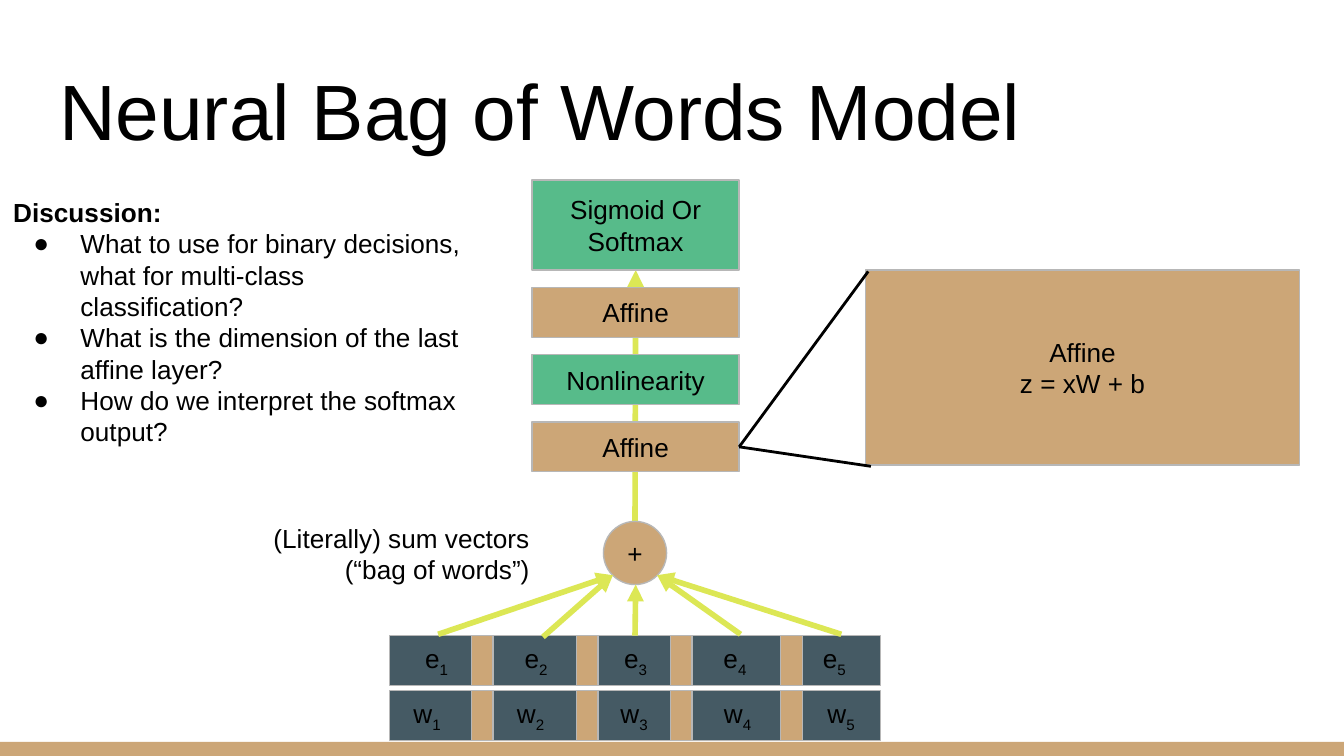
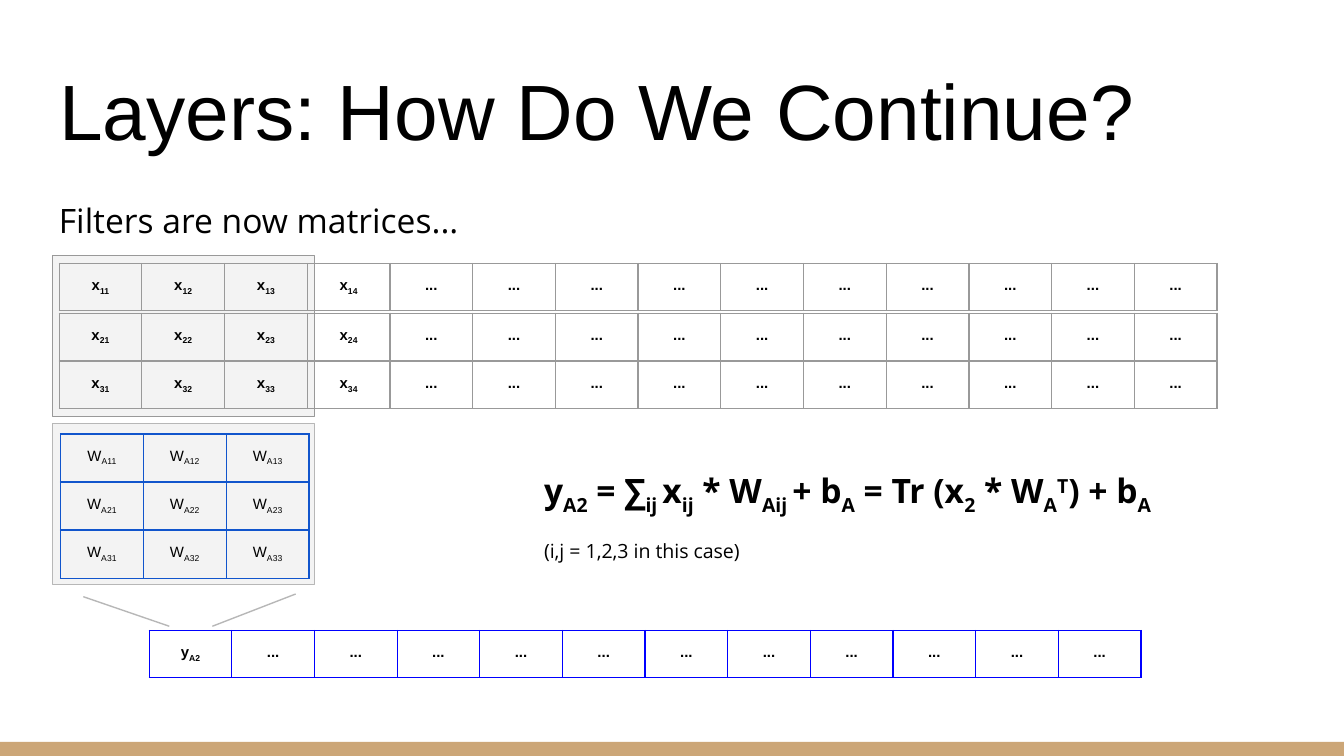
"""Build two slides on a neural bag of words model and its matrix filters."""
from lxml import etree
from pptx import Presentation, util as u
from pptx.dml.color import RGBColor
from pptx.enum import shapes, text
from pptx.oxml import ns

hue = RGBColor.from_string
TAN, GREEN, SLATE, LIME = "CCA677", "57BB8A", "455A64", "DCE755"
BLACK, GREY, PALE, STEEL = "000000", "B7B7B7", "F3F3F3", "999999"
RECT, OVAL = shapes.MSO_SHAPE.RECTANGLE, shapes.MSO_SHAPE.OVAL
LEFT, MID, RIGHT = text.PP_ALIGN.LEFT, text.PP_ALIGN.CENTER, text.PP_ALIGN.RIGHT
TOP, HALF, LOW = text.MSO_ANCHOR.TOP, text.MSO_ANCHOR.MIDDLE, text.MSO_ANCHOR.BOTTOM


def write(frame, words, size=14, font="Arial", bold=False, align=MID, anchor=HALF):
    """Fill a frame; | parts the runs, _ lowers a run and ^ raises it."""
    frame.text = words
    frame.word_wrap, frame.vertical_anchor = True, anchor
    frame.margin_left = frame.margin_right = u.Inches(0.1)
    frame.margin_top = frame.margin_bottom = u.Inches(0.1)
    for para in frame.paragraphs:
        parts = para.text.split("|")
        para.clear()
        para.alignment = align
        for part in parts:
            run = para.add_run()
            run.text = part.lstrip("_^")
            run.font.size, run.font.name, run.font.bold = u.Pt(size), font, bold
            run.font.color.rgb = hue(BLACK)
            if part[0] in "_^":
                base = "-25000" if part[0] == "_" else "30000"
                run.font._element.set("baseline", base)


def box(page, at, fill, edge=GREY, kind=RECT):
    """Add a filled shape with a thin edge."""
    shape = page.shapes.add_shape(kind, *map(u.Inches, at))
    shape.shadow.inherit = False
    shape.fill.solid()
    shape.fill.fore_color.rgb = hue(fill)
    shape.line.color.rgb = hue(edge)
    shape.line.width = u.Pt(0.75)
    return shape


prs = Presentation()
prs.slide_width, prs.slide_height = u.Inches(10), u.Inches(10) * 9 // 16
plan = prs.slide_layouts[5]
pages = []
for name in ["Neural Bag of Words Model", "Layers: How Do We Continue?"]:
    page = prs.slides.add_slide(plan)
    title = page.shapes.title
    title.left, title.top = u.Inches(0.34), u.Inches(0.35)
    title.width, title.height = u.Inches(9.32), u.Inches(0.91)
    write(title.text_frame, name, 42, align=LEFT, anchor=LOW)
    title.text_frame.auto_size = text.MSO_AUTO_SIZE.NONE
    pages.append(page)
model, layers = pages

band = box(model, (0, 5.52, 10, 0.11), TAN)
band.line.fill.background()
plan.shapes.element.append(band.element)

nodes = []
for words, at, fill, kind in [
    ("Sigmoid Or Softmax", (3.96, 1.34, 1.54, 0.67), GREEN, RECT),
    ("Affine", (3.96, 2.14, 1.54, 0.37), TAN, RECT),
    ("Nonlinearity", (3.96, 2.64, 1.54, 0.37), GREEN, RECT),
    ("Affine", (3.96, 3.14, 1.54, 0.37), TAN, RECT),
    ("+", (4.49, 3.88, 0.47, 0.47), TAN, OVAL),
    ("Affine\nz = xW + b", (6.44, 2.01, 3.23, 1.45), TAN, RECT),
]:
    node = box(model, at, fill, kind=kind)
    write(node.text_frame, words)
    nodes.append(node)
goal, affine, plus = nodes[0], nodes[3], nodes[4]

for sign, top, start, step in [("w", 5.14, 0.18, 0.77), ("e", 4.73, 0.25, 0.74)]:
    bar = box(model, (2.9, top, 3.65, 0.37), SLATE)
    write(bar.text_frame, "|".join(f"\t{sign}|_{i}" for i in range(1, 6)), align=LEFT)
    props = bar.text_frame.paragraphs[0]._p.get_or_add_pPr()
    tabs = etree.SubElement(props, ns.qn("a:tabLst"))
    for i in range(5):
        spot = u.Inches(start + i * step)
        etree.SubElement(tabs, ns.qn("a:tab"), pos=str(spot), algn="ctr")
    for left in [3.51, 4.29, 4.99, 5.81]:
        box(model, (left, top, 0.16, 0.37), TAN)

notes = []
for page, at, words, style in [
    (model, (1.36, 3.9, 2.68, 0.44), "(Literally) sum vectors\n(“bag of words”)",
     dict(align=RIGHT)),
    (model, (0, 1.36, 3.59, 0.67),
     "Discussion:\n"
     "What to use for binary decisions, what for multi-class classification?\n"
     "What is the dimension of the last affine layer?\n"
     "How do we interpret the softmax output?", dict(align=LEFT, anchor=TOP)),
    (layers, (0.34, 1.34, 9.75, 0.5), "Filters are now matrices...",
     dict(size=18, font="Open Sans", align=LEFT, anchor=TOP)),
    (layers, (3.95, 3.4, 5.8, 0.91),
     "y|_A2| = ∑|_ij |x|_ij| * W|_Aij |+ b|_A| = Tr (x|_2| * W|_A|^T|) + b|_A\n"
     "(i,j = 1,2,3 in this case)",
     dict(size=18, font="Open Sans", bold=True, align=LEFT, anchor=TOP)),
]:
    note = page.shapes.add_textbox(*map(u.Inches, at))
    write(note.text_frame, words, **style)
    notes.append(note.text_frame.paragraphs)
talk, lead, rule = notes[1:]

talk[0].runs[0].font.bold = True
for para in talk[1:]:
    props = para._p.get_or_add_pPr()
    props.set("marL", str(u.Inches(0.5)))
    props.set("indent", str(u.Inches(-0.35)))
    tint = etree.SubElement(props, ns.qn("a:buClr"))
    etree.SubElement(tint, ns.qn("a:srgbClr"), val=BLACK)
    etree.SubElement(props, ns.qn("a:buFont"), typeface="Arial")
    etree.SubElement(props, ns.qn("a:buChar"), char="●")
lead[0].line_spacing = 1.15
rule[1].space_before = u.Pt(12)
rule[1].runs[0].font.size, rule[1].runs[0].font.bold = u.Pt(10.5), False

box(layers, (0.39, 3.15, 1.95, 1.2), PALE)
box(layers, (0.39, 1.9, 1.95, 1.2), PALE, STEEL)
grids = [(1.11, 4.69, 7.38, "0000FF", True, ["y|_A2"] + ["..."] * 11)]
for i, top in enumerate([1.96, 2.33, 2.69], 1):
    inputs = [f"x|_{i}{j}" for j in range(1, 5)] + ["..."] * 10
    grids.append((0.44, top, 8.62, STEEL, True, inputs))
    weights = [f"W|_A{i}{j}" for j in range(1, 4)]
    grids.append((0.45, 2.87 + 0.36 * i, 1.85, "1155CC", False, weights))
for left, top, width, edge, bold, items in grids:
    at = map(u.Inches, (left, top, width, 0.34))
    grid = layers.shapes.add_table(1, len(items), *at).table
    grid.first_row = grid.horz_banding = False
    for cell, item in zip(grid.iter_cells(), items):
        write(cell.text_frame, item, 8, bold=bold)
        cell.margin_top = cell.margin_bottom = u.Inches(0.1)
        props = cell._tc.get_or_add_tcPr()
        for side in "LRTB":
            line = etree.SubElement(props, ns.qn(f"a:ln{side}"), w=str(u.Pt(0.75)))
            fill = etree.SubElement(line, ns.qn("a:solidFill"))
            etree.SubElement(fill, ns.qn("a:srgbClr"), val=edge)
        cell.fill.background()

links = []
for page, start, end, tint, width in [
    (model, (4.73, 3.88), (4.73, 2.01), LIME, 3),
    (model, (4.73, 4.73), (4.73, 4.35), LIME, 3),
    (model, (3.26, 4.72), (4.56, 4.28), LIME, 3),
    (model, (4.04, 4.74), (4.56, 4.28), LIME, 3),
    (model, (5.51, 4.72), (4.89, 4.28), LIME, 3),
    (model, (6.26, 4.72), (4.89, 4.28), LIME, 3),
    (model, (5.5, 3.33), (6.46, 2.02), BLACK, 1.5),
    (model, (5.5, 3.33), (6.48, 3.47), BLACK, 1.5),
    (layers, (0.62, 4.44), (1.26, 4.66), GREY, 0.75),
    (layers, (1.58, 4.66), (2.2, 4.42), GREY, 0.75),
]:
    ends = map(u.Inches, start + end)
    link = page.shapes.add_connector(shapes.MSO_CONNECTOR.STRAIGHT, *ends)
    link.line.color.rgb, link.line.width = hue(tint), u.Pt(width)
    if tint == LIME:
        etree.SubElement(link.line._get_or_add_ln(), ns.qn("a:tailEnd"), type="triangle")
    etree.SubElement(link._element.spPr, ns.qn("a:effectLst"))
    links.append(link)
trunk, stem = links[:2]
trunk.begin_connect(plus, 0)
trunk.end_connect(goal, 2)
stem.begin_connect(bar, 0)
for link in links[6:8]:
    link.begin_connect(affine, 3)
model.shapes.element.insert(2, trunk.element)

prs.save("out.pptx")
